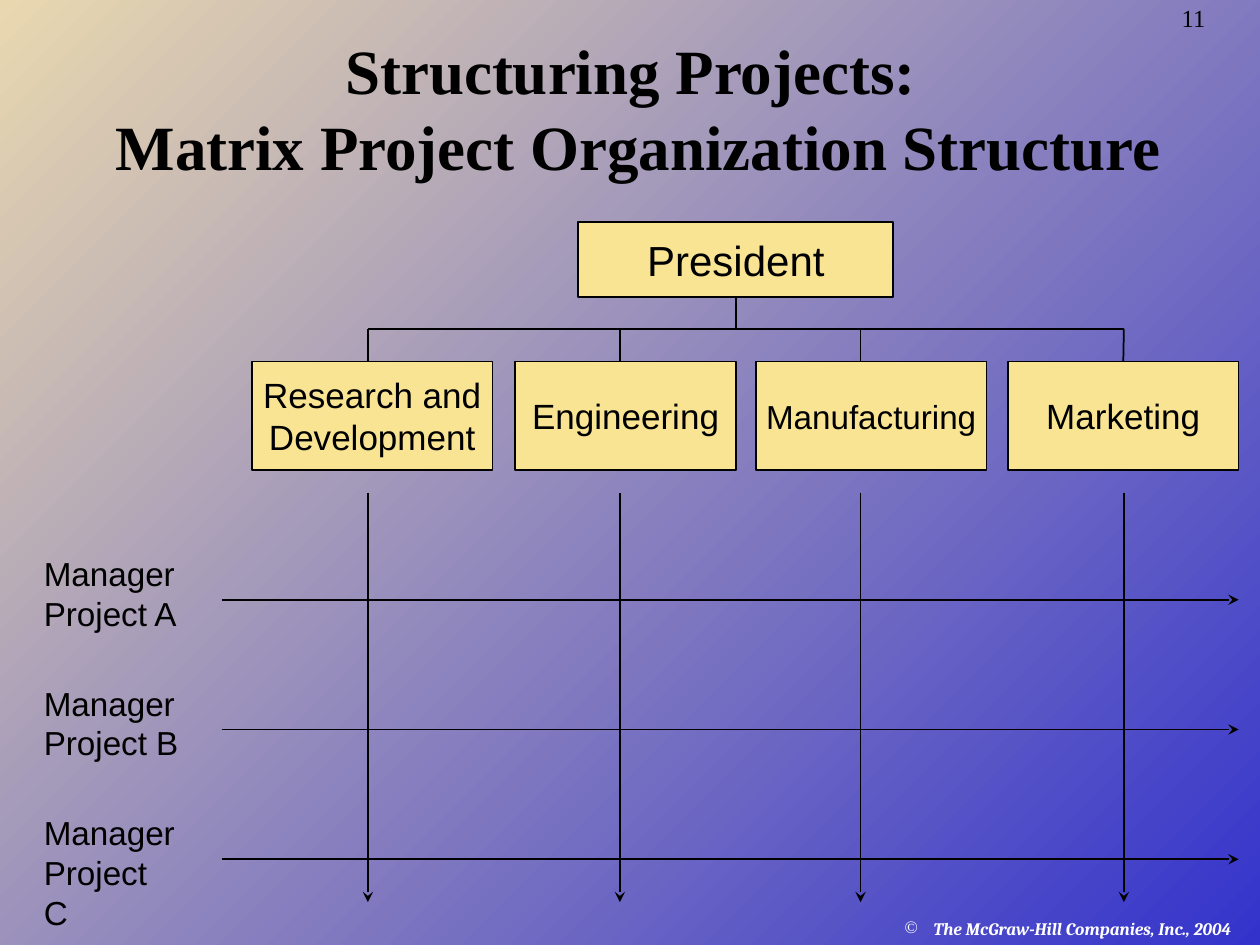
from lxml import etree
from pptx import Presentation
from pptx.dml.color import RGBColor
from pptx.enum import shapes, text
from pptx.oxml import ns
from pptx.util import Inches, Pt

COLORS = {"ink": "000000", "box": "F8E493", "blue": "3333CC",
          "sand": "E9D8AF", "footer": "FFFFFF"}

BUS_Y = 2.61
BOX_TOP, BOX_HEIGHT = 2.87, 0.86
# name lines, left, width, font size, x of its vertical lines
DEPARTMENTS = [
    (["Research and", "Development"], 2, 1.91, 20, 2.92),
    (["Engineering"], 4.09, 1.75, 20, 4.92),
    (["Manufacturing"], 6, 1.83, 19, 6.83),
    (["Marketing"], 8, 1.83, 20, 8.92),
]
PROJECT_TOP, PROJECT_STEP = 4.34, 1.03


def color(name):
    return RGBColor.from_string(COLORS[name])


def style(run, size, font="Arial", ink="ink", bold=False, italic=False):
    run.font.size = Pt(size)
    run.font.name = font
    run.font.color.rgb = color(ink)
    run.font.bold = bold
    run.font.italic = italic


def write_lines(frame, lines, size, align=text.PP_ALIGN.LEFT, **look):
    """Put each line in its own paragraph."""
    for i, line in enumerate(lines):
        paragraph = frame.add_paragraph() if i else frame.paragraphs[0]
        paragraph.alignment = align
        run = paragraph.add_run()
        run.text = line
        style(run, size, **look)


def add_label(slide, lines, left, top, width, height, size, wrap=False, **look):
    frame = slide.shapes.add_textbox(
        Inches(left), Inches(top), Inches(width), Inches(height)).text_frame
    frame.word_wrap = wrap
    write_lines(frame, lines, size, **look)
    return frame


def add_box(slide, lines, left, top, width, height, size):
    box = slide.shapes.add_shape(
        shapes.MSO_SHAPE.RECTANGLE,
        Inches(left), Inches(top), Inches(width), Inches(height))
    box.shadow.inherit = False
    box.fill.solid()
    box.fill.fore_color.rgb = color("box")
    box.line.color.rgb = color("ink")
    box.line.width = Pt(1)
    frame = box.text_frame
    frame.word_wrap = False
    frame.vertical_anchor = text.MSO_ANCHOR.MIDDLE
    write_lines(frame, lines, size, text.PP_ALIGN.CENTER)
    return box


def add_line(slide, x1, y1, x2, y2, arrow=False):
    line = slide.shapes.add_connector(
        shapes.MSO_CONNECTOR.STRAIGHT,
        Inches(x1), Inches(y1), Inches(x2), Inches(y2))
    line.line.color.rgb = color("ink")
    line.line.width = Pt(1)
    if arrow:
        etree.SubElement(line.line._get_or_add_ln(), ns.qn("a:tailEnd"),
                         type="stealth")
    etree.SubElement(line._element.spPr, ns.qn("a:effectLst"))
    return line


def paint_background(slide):
    fill = slide.background.fill
    fill.gradient()
    fill.gradient_angle = 135
    for stop, name in zip(fill.gradient_stops, ("blue", "sand")):
        stop.color.rgb = color(name)


def add_title(slide):
    title = slide.shapes.title
    title.left, title.top = Inches(0.2), Inches(0.42)
    title.width, title.height = Inches(9.61), Inches(1.08)
    frame = title.text_frame
    frame.auto_size = text.MSO_AUTO_SIZE.NONE
    frame.word_wrap = True
    frame.vertical_anchor = text.MSO_ANCHOR.BOTTOM
    paragraph = frame.paragraphs[0]
    paragraph.alignment = text.PP_ALIGN.CENTER
    for i, line in enumerate(["Structuring Projects:",
                              " Matrix Project Organization Structure"]):
        if i:
            paragraph.add_line_break()
        run = paragraph.add_run()
        run.text = line
        style(run, 36, font="Times New Roman", bold=True)


def add_copyright(slide):
    frame = add_label(slide, ["The McGraw-Hill Companies, Inc., 2004"],
                      7.08, 7.24, 2.92, 0.26, 10, wrap=True,
                      font="Cambria", ink="footer", bold=True, italic=True)
    props = frame.paragraphs[0]._p.get_or_add_pPr()
    props.set("marL", str(Inches(0.23)))
    props.set("indent", str(-Inches(0.23)))
    bullet_color = etree.SubElement(props, ns.qn("a:buClr"))
    etree.SubElement(bullet_color, ns.qn("a:srgbClr"), val=COLORS["footer"])
    etree.SubElement(props, ns.qn("a:buChar"), char="©")


def add_organization(slide):
    president = add_box(slide, ["President"], 4.59, 1.76, 2.5, 0.6, 24)
    stem = add_line(slide, 5.84, 2.36, 5.84, BUS_Y)
    stem.begin_connect(president, 2)
    add_line(slide, DEPARTMENTS[0][-1], BUS_Y, DEPARTMENTS[-1][-1], BUS_Y)
    for lines, left, width, size, x in DEPARTMENTS:
        box = add_box(slide, lines, left, BOX_TOP, width, BOX_HEIGHT, size)
        drop = add_line(slide, x, BUS_Y, x, BOX_TOP)
        if abs(left + width / 2 - x) < 0.01:
            drop.end_connect(box, 0)


def add_matrix(slide):
    for row, letter in enumerate("ABC"):
        top = PROJECT_TOP + row * PROJECT_STEP
        add_label(slide, ["Manager", f"Project {letter}"],
                  0.25, top, 1.27, 0.73, 19)
        add_line(slide, 1.76, top + 0.42, 9.83, top + 0.42, arrow=True)
    for *_, x in DEPARTMENTS:
        add_line(slide, x, 3.91, x, 7.16, arrow=True)


def main():
    deck = Presentation()
    deck.slide_width, deck.slide_height = Inches(10), Inches(7.5)
    slide = deck.slides.add_slide(deck.slide_layouts[5])
    paint_background(slide)
    add_copyright(slide)
    page = add_label(slide, ["11"], 9.28, 0, 0.42, 0.31, 14,
                     font="Times New Roman")
    page.paragraphs[0].line_spacing = 0.9
    add_title(slide)
    add_organization(slide)
    add_matrix(slide)
    deck.save("out.pptx")


if __name__ == "__main__":
    main()
